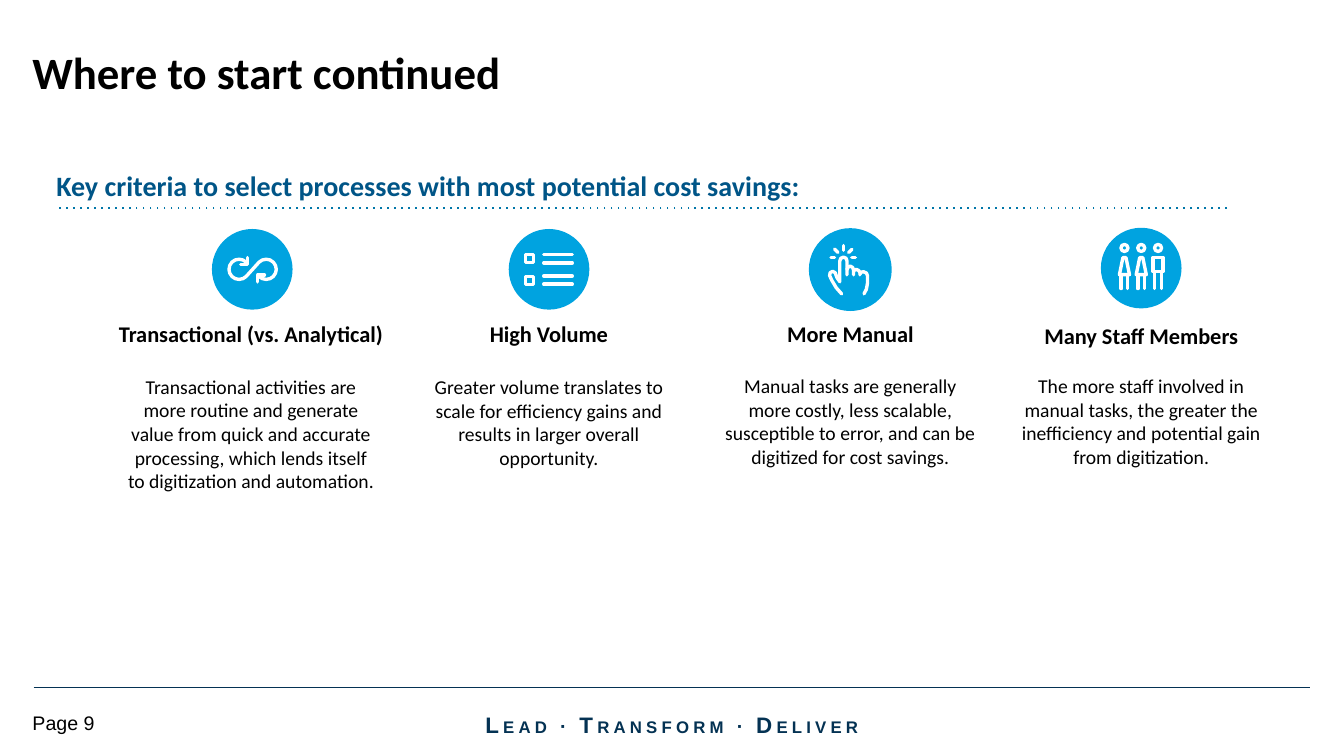
from math import cos, radians, sin

from lxml import etree
from pptx import Presentation
from pptx.dml.color import RGBColor
from pptx.enum.shapes import MSO_CONNECTOR, MSO_SHAPE
from pptx.enum.text import MSO_ANCHOR, PP_ALIGN
from pptx.oxml.ns import qn
from pptx.util import Pt

LEFT, CENTER = PP_ALIGN.LEFT, PP_ALIGN.CENTER
MIDDLE = MSO_ANCHOR.MIDDLE
STRAIGHT, OVAL = MSO_CONNECTOR.STRAIGHT, MSO_SHAPE.OVAL
BLACK, NAVY, BLUE, CYAN, DOTS, WHITE = (
    RGBColor.from_string(code)
    for code in ("000000", "043253", "005587", "00A3E0", "0076A8", "FFFFFF")
)


def add_text(text, left, top, width, height, size, color=BLACK, bold=False,
             font="Calibri", align=LEFT, wrap=True):
    frame = slide.shapes.add_textbox(Pt(left), Pt(top), Pt(width), Pt(height)).text_frame
    frame.word_wrap = wrap
    frame.text = text
    frame.paragraphs[0].alignment = align
    for run in frame.paragraphs[0].runs:
        run.font.name = font
        run.font.size = Pt(size)
        run.font.bold = bold
        run.font.color.rgb = color
    return frame


def arc(x, y, radius, start, end, steps):
    angles = [radians(start + (end - start) * step / steps) for step in range(steps + 1)]
    return [(x + radius * cos(angle), y + radius * sin(angle)) for angle in angles]


deck = Presentation()
deck.slide_width, deck.slide_height = Pt(960), Pt(540)
slide = deck.slides.add_slide(deck.slide_layouts[5])

title = slide.shapes.title
title.left, title.top, title.width, title.height = Pt(15.84), Pt(1.44), Pt(828), Pt(104.4)
title.text_frame.text = "Where to start continued"
title.text_frame.vertical_anchor = MIDDLE
title_line = title.text_frame.paragraphs[0]
title_line.alignment = LEFT
title_line.line_spacing = 0.9
title_font = title_line.runs[0].font
title_font.name, title_font.size, title_font.bold = "Calibri", Pt(32), True
title_font.color.rgb = BLACK

add_text("Key criteria to select processes with most potential cost savings:",
         33.1, 116.9, 550, 31.7, 20, BLUE, True, wrap=False)

for x1, x2, y, weight, color, dash in [
    (876.5, 42.1, 148.6, 1.25, DOTS, "dot"),
    (24.1, 936, 490.8, 0.75, NAVY, "solid"),
]:
    rule = slide.shapes.add_connector(STRAIGHT, Pt(x1), Pt(y), Pt(x2), Pt(y))
    rule.line.color.rgb = color
    rule.line.width = Pt(weight)
    properties = rule._element.spPr
    etree.SubElement(properties.find(qn("a:ln")), qn("a:prstDash"), val=dash)
    etree.SubElement(properties, qn("a:effectLst"))

add_text("Page 9", 16.1, 504, 120, 24, 14, font="Arial")

motto = add_text("", 271.4, 503.3, 416.9, 28.8, 16, font="Arial", align=CENTER)
motto.vertical_anchor = MIDDLE
for text, size in [("L", 16), ("EAD ", 12), ("∙ ", 14), ("T", 16), ("RANSFORM ", 12),
                   ("∙ ", 14), ("D", 16), ("ELIVER", 12)]:
    run = motto.paragraphs[0].add_run()
    run.text = text
    run.font.name, run.font.size, run.font.bold = "Arial", Pt(size), True
    run.font.color.rgb = NAVY
    run._r.get_or_add_rPr().set("spc", "300")

loop_icon = [
    (arc(10, 0, 7.2, 135, -135, 12) + arc(-9.4, 0, 7.2, 45, 315, 12), False),
    ([(4, 9), (4, 4), (8.8, 4)], False),
    ([(-3.4, -8.4), (-3.4, -3.4), (-8.2, -3.4)], False),
]

list_icon = [([(-3.8, y), (16.6, y)], False) for y in (-10.7, -4.6, 4.8, 10.6)]
for top in (-10.6, 4.9):
    list_icon.append(([(-17, top), (-11.2, top), (-11.2, top + 5.8), (-17, top + 5.8)], True))

hand_icon = [
    ([(1.1, -8.7), (3.6, -8.7)], False),
    ([(-1.2, -12.2), (1.1, -14.5)], False),
    ([(-4.9, -17.2), (-4.9, -13.8)], False),
    ([(-11.2, -14.6), (-8.8, -12.2)], False),
    ([(-13.8, -8.7), (-11.3, -8.7)], False),
    ([(-6.2, 17.3), (-10, 13), (-13, 8), (-14.8, 4.3), (-14.4, 2.1), (-12.6, 1.2),
      (-10.8, 2.2), (-9.6, 5.6), (-7.5, 8.6), (-7.5, -6.2), (-6.8, -8.1), (-4.9, -8.9),
      (-3, -8.1), (-2.4, -6.2), (-2.4, 3.7)], False),
    ([(-2.4, 0), (-1.4, -2), (0, -2.5), (1.7, -1.5), (2.3, 0.4), (2.3, 3.7)], False),
    ([(2.3, 1.4), (3.2, 0.1), (4.4, -0.1), (6, 0.6), (6.9, 2.2), (6.9, 3.7)], False),
    ([(6.9, 2.9), (7.9, 1.8), (9.4, 1.5), (11.5, 2.4), (12.3, 4.4), (12.3, 9.4),
      (11.5, 14), (9.8, 17.3)], False),
]

staff_icon = []
for x, shoulder, bottom in [(-12, 1.1, 4.7), (0, 1.1, 4.7), (12, 3.6, 2.5)]:
    staff_icon.append((arc(x, -14.4, 2.5, 0, 315, 7), True))
    staff_icon.append(([(x - shoulder, -7.5), (x + shoulder, -7.5),
                        (x + 3.6, bottom), (x - 3.6, bottom)], True))
    for leg in (x - 2.4, x + 2.4):
        staff_icon.append(([(leg, bottom), (leg, 14.6)], False))

criteria = [
    ("Transactional (vs. Analytical)",
     "Transactional activities are more routine and generate value from quick and accurate "
     "processing, which lends itself to digitization and automation.",
     loop_icon, 180.2, 179.3, 192.4, 28.8, 225.4, 264.2, 206, 92.2),
    ("High Volume",
     "Greater volume translates to scale for efficiency gains and results in larger overall "
     "opportunity.",
     list_icon, 392.2, 392.1, 192.4, 28.8, 225.4, 264.4, 100, 74.9),
    ("More Manual",
     "Manual tasks are generally more costly, less scalable, susceptible to error, and can be "
     "digitized for cost savings.",
     hand_icon, 607.4, 607.4, 192.6, 29.6, 225.4, 263.6, 106, 74.9),
    ("Many Staff Members",
     "The more staff involved in manual tasks, the greater the inefficiency and potential gain "
     "from digitization.",
     staff_icon, 815.2, 815.2, 191.5, 28.8, 226.8, 263.6, 155.5, 74.9),
]

for (heading, reason, icon, x, text_x, y, radius,
     heading_top, reason_top, heading_width, reason_height) in criteria:
    disc = slide.shapes.add_shape(OVAL, Pt(x - radius), Pt(y - radius),
                                  Pt(2 * radius), Pt(2 * radius))
    disc.shadow.inherit = False
    disc.fill.solid()
    disc.fill.fore_color.rgb = CYAN
    disc.line.fill.background()

    outline = None
    for points, closed in icon:
        corners = [(Pt(x + dx), Pt(y + dy)) for dx, dy in points]
        if outline is None:
            outline = slide.shapes.build_freeform(*corners[0])
        else:
            outline.move_to(*corners[0])
        outline.add_line_segments(corners[1:], close=closed)
    symbol = outline.convert_to_shape()
    symbol.shadow.inherit = False
    symbol.fill.background()
    symbol.line.color.rgb = WHITE
    symbol.line.width = Pt(2.4)
    pen = symbol._element.spPr.find(qn("a:ln"))
    pen.set("cap", "rnd")
    etree.SubElement(pen, qn("a:round"))

    add_text(heading, text_x - heading_width / 2, heading_top, heading_width, 26.6, 16,
             bold=True, align=CENTER, wrap=False)
    add_text(reason, text_x - 96.85, reason_top, 193.7, reason_height, 14, align=CENTER)

deck.save("out.pptx")
